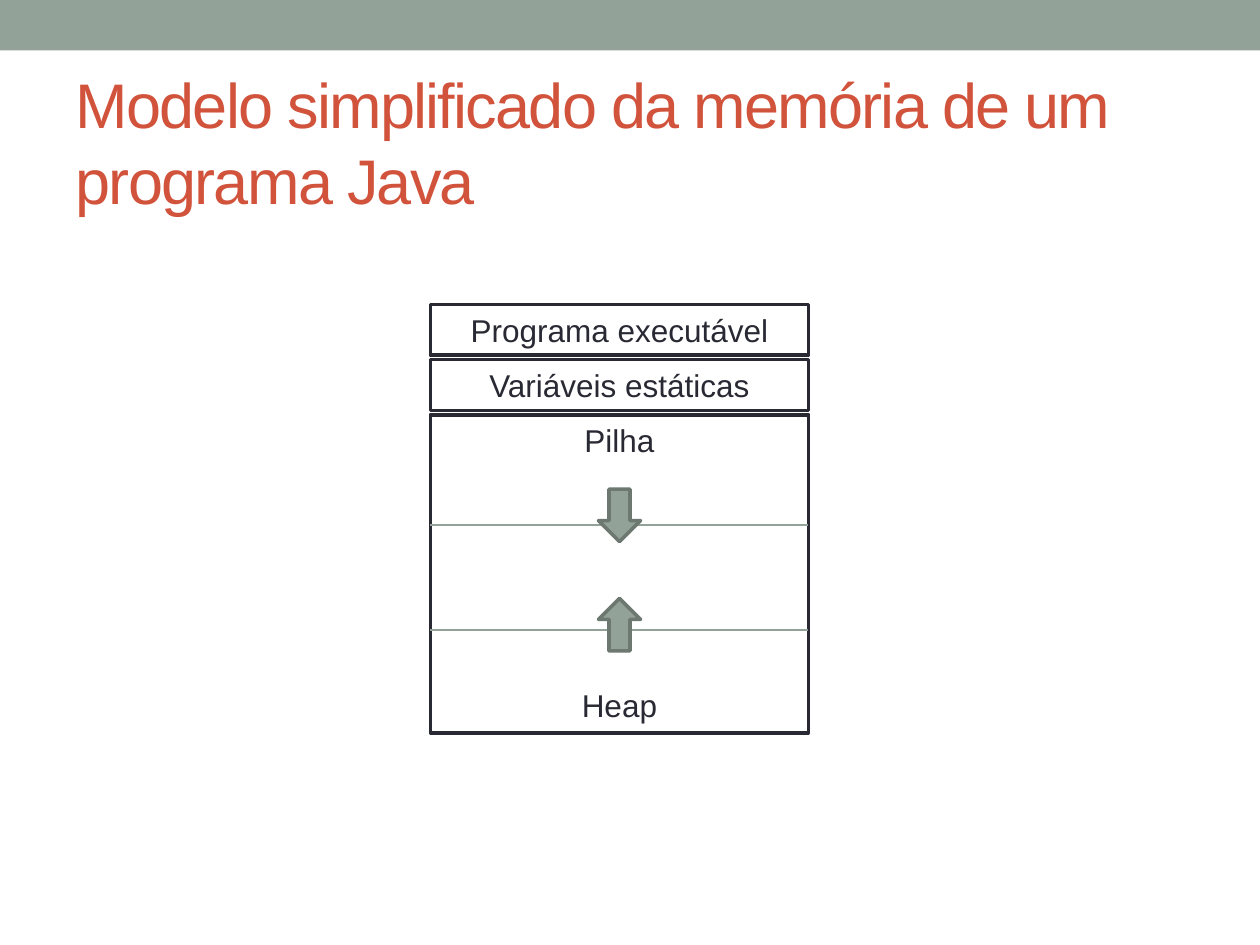
from pptx import Presentation
from pptx.dml.color import RGBColor
from pptx.enum.shapes import MSO_CONNECTOR, MSO_SHAPE as Preset
from pptx.enum.text import MSO_ANCHOR as Anchor, MSO_AUTO_SIZE as AutoSize, PP_ALIGN as Align
from pptx.oxml.xmlchemy import OxmlElement
from pptx.util import Pt

SAGE, SAGE_DARK, RED, INK, WHITE = "93A299", "6D7871", "D2533C", "292934", "FFFFFF"
LINE_FACTOR = 1.2


def color(hex_string):
    """Turn a hex string into a colour."""
    return RGBColor.from_string(hex_string)


def write(paragraph, text, size=18, ink=INK, align=Align.CENTER, before=0, tracking=None):
    """Put formatted text into a paragraph."""
    paragraph.alignment = align
    paragraph.line_spacing = Pt(size * LINE_FACTOR)
    paragraph.space_before = Pt(before)
    run = paragraph.add_run()
    run.text = text
    run.font.name = "Arial"
    run.font.size = Pt(size)
    run.font.color.rgb = color(ink)
    if tracking is not None:
        run.font._element.set("spc", str(round(tracking * 100)))


class MemorySlide:
    """Holds the slide and the style of its elements."""

    outline_width = 2.08
    divider_width = 0.75

    def __init__(self, deck):
        """Add a title-only slide to the deck."""
        self.slide = deck.slides.add_slide(deck.slide_layouts[5])

    def title(self, text, left, top, width, height):
        """Place and format the title."""
        heading = self.slide.shapes.title
        heading.left, heading.top = Pt(left), Pt(top)
        heading.width, heading.height = Pt(width), Pt(height)
        frame = heading.text_frame
        frame.word_wrap = True
        frame.auto_size = AutoSize.NONE
        frame.vertical_anchor = Anchor.MIDDLE
        write(frame.paragraphs[0], text, size=36, ink=RED, align=Align.LEFT, tracking=-1)

    def shape(self, preset, left, top, width, height, fill, outline=None, rotation=0):
        """Draw a filled preset shape."""
        figure = self.slide.shapes.add_shape(preset, Pt(left), Pt(top), Pt(width), Pt(height))
        figure.shadow.inherit = False
        figure.rotation = rotation
        figure.fill.solid()
        figure.fill.fore_color.rgb = color(fill)
        if outline:
            figure.line.color.rgb = color(outline)
            figure.line.width = Pt(self.outline_width)
        else:
            figure.line.fill.background()
        return figure

    def region(self, labels, left, top, width, height, gap=0):
        """Draw a memory region with its labels set apart by a gap."""
        frame = self.shape(Preset.RECTANGLE, left, top, width, height, WHITE, INK).text_frame
        frame.word_wrap = True
        frame.vertical_anchor = Anchor.TOP
        for index, label in enumerate(labels):
            paragraph = frame.add_paragraph() if index else frame.paragraphs[0]
            write(paragraph, label, before=gap if index else 0)

    def divider(self, left, right, y):
        """Draw a thin horizontal line."""
        rule = self.slide.shapes.add_connector(
            MSO_CONNECTOR.STRAIGHT, Pt(left), Pt(y), Pt(right), Pt(y))
        rule.line.color.rgb = color(SAGE)
        rule.line.width = Pt(self.divider_width)
        rule._element.spPr.append(OxmlElement("a:effectLst"))


def main():
    """Build and save the slide."""
    deck = Presentation()
    deck.slide_width, deck.slide_height = Pt(720), Pt(540)
    page = MemorySlide(deck)

    page.shape(Preset.RECTANGLE, 0, 0, 720, 28.8, SAGE)
    page.title("Modelo simplificado da memória de um programa Java", 36, 41.8, 648, 77.8)

    left, width, first_top, pitch = 246, 216, 174, 31.5
    regions = [
        (["Programa executável"], 29),
        (["Variáveis estáticas"], 29),
        (["Pilha", "Heap"], 181.75),
    ]
    blank_lines = 6
    for index, (labels, height) in enumerate(regions):
        page.region(labels, left, first_top + index * pitch, width, height,
                    gap=blank_lines * 18 * LINE_FACTOR)

    for y in (300, 360):
        page.divider(left, left + width, y)

    arrow_width, arrow_height = 24, 30
    arrow_left = left + (width - arrow_width) / 2
    for top, rotation in ((342, 0), (279.5, 180)):
        page.shape(Preset.UP_ARROW, arrow_left, top, arrow_width, arrow_height,
                   SAGE, SAGE_DARK, rotation)

    deck.save("out.pptx")


main()
